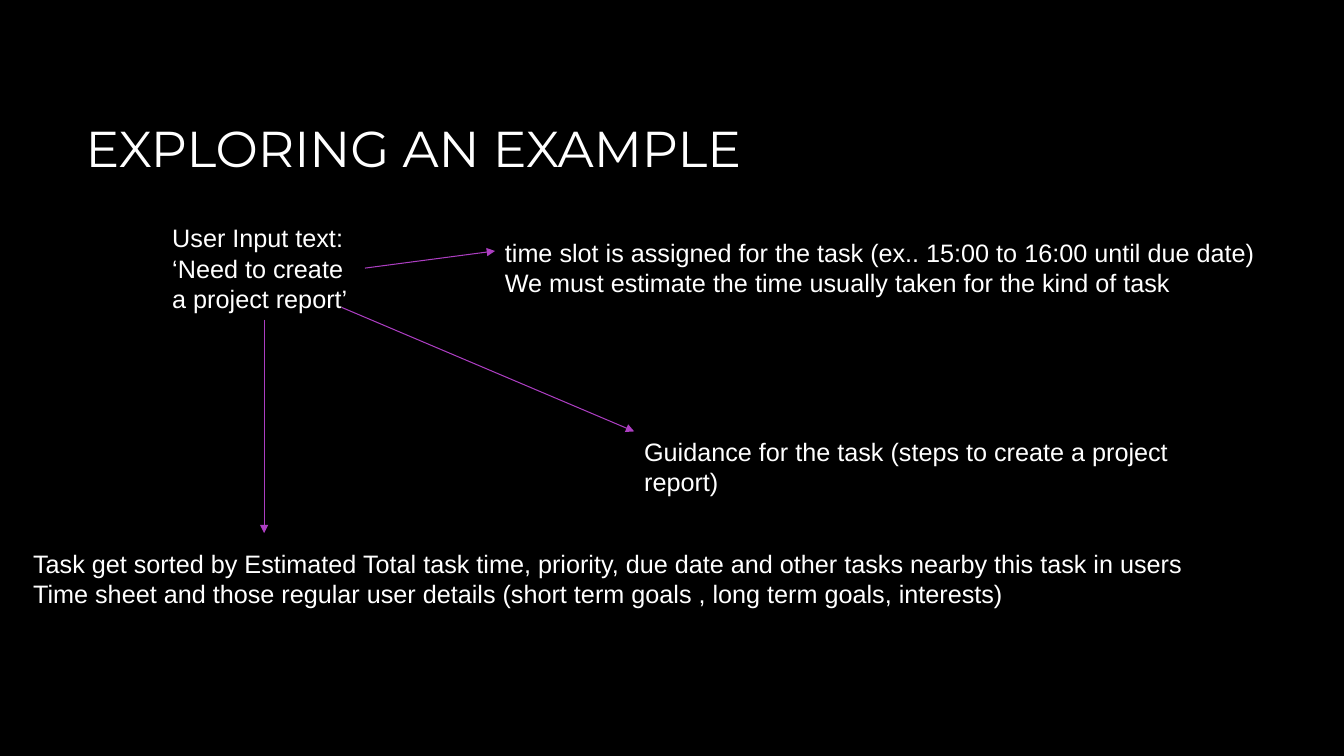
from lxml import etree
from pptx import Presentation
from pptx import util as u
from pptx.dml.color import RGBColor
from pptx.enum import shapes, text
from pptx.oxml.ns import qn

WHITE, BLACK, PURPLE = "FFFFFF", "000000", "AC3EC1"


def rgb(color):
    return RGBColor.from_string(color)


def write(sp, lines, font, size):
    """Fill a shape with left-aligned white paragraphs."""
    tf = sp.text_frame
    tf.word_wrap = True
    tf.text = "\n".join(lines)
    for p in tf.paragraphs:
        p.alignment = text.PP_ALIGN.LEFT
        for r in p.runs:
            r.font.name, r.font.size = font, u.Pt(size)
            r.font.color.rgb = rgb(WHITE)


prs = Presentation()
prs.slide_width, prs.slide_height = u.Inches(13.33), u.Inches(7.5)
s = prs.slides.add_slide(prs.slide_layouts[5])
s.background.fill.solid()
s.background.fill.fore_color.rgb = rgb(BLACK)

title = s.shapes.title
title.left, title.top, title.width, title.height = map(u.Inches, (0.75, 0.67, 11.08, 1.59))
write(title, ["EXPLORING AN EXAMPLE"], "Montserrat", 36)
title.text_frame.vertical_anchor = text.MSO_ANCHOR.MIDDLE

notes = [
    ((1.61, 2.16, 2.02, 1.01),
     ["User Input text:", "‘Need to create a project report’"]),
    ((4.91, 2.3, 7.73, 0.71),
     ["time slot is assigned for the task (ex.. 15:00 to 16:00 until due date)",
      "We must estimate the time usually taken for the kind of task"]),
    ((6.29, 4.28, 5.79, 0.71),
     ["Guidance for the task (steps to create a project report)"]),
    ((0.23, 5.39, 11.71, 0.71),
     ["Task get sorted by Estimated Total task time, priority, due date "
      "and other tasks nearby this task in users",
      "Time sheet and those regular user details "
      "(short term goals , long term goals, interests)"]),
]
for box, lines in notes:
    write(s.shapes.add_textbox(*map(u.Inches, box)), lines, "Arial", 18)

arrows = [
    (3.62, 2.66, 4.91, 2.49),
    (3.39, 3.05, 6.29, 4.28),
    (2.62, 3.17, 2.62, 5.29),
]
for ends in arrows:
    arrow = s.shapes.add_connector(shapes.MSO_CONNECTOR.STRAIGHT, *map(u.Inches, ends))
    arrow.line.color.rgb = rgb(PURPLE)
    arrow.line.width = u.Pt(0.75)
    etree.SubElement(arrow.line._get_or_add_ln(), qn("a:tailEnd"), type="triangle")
    etree.SubElement(arrow._element.spPr, qn("a:effectLst"))

prs.save("out.pptx")
